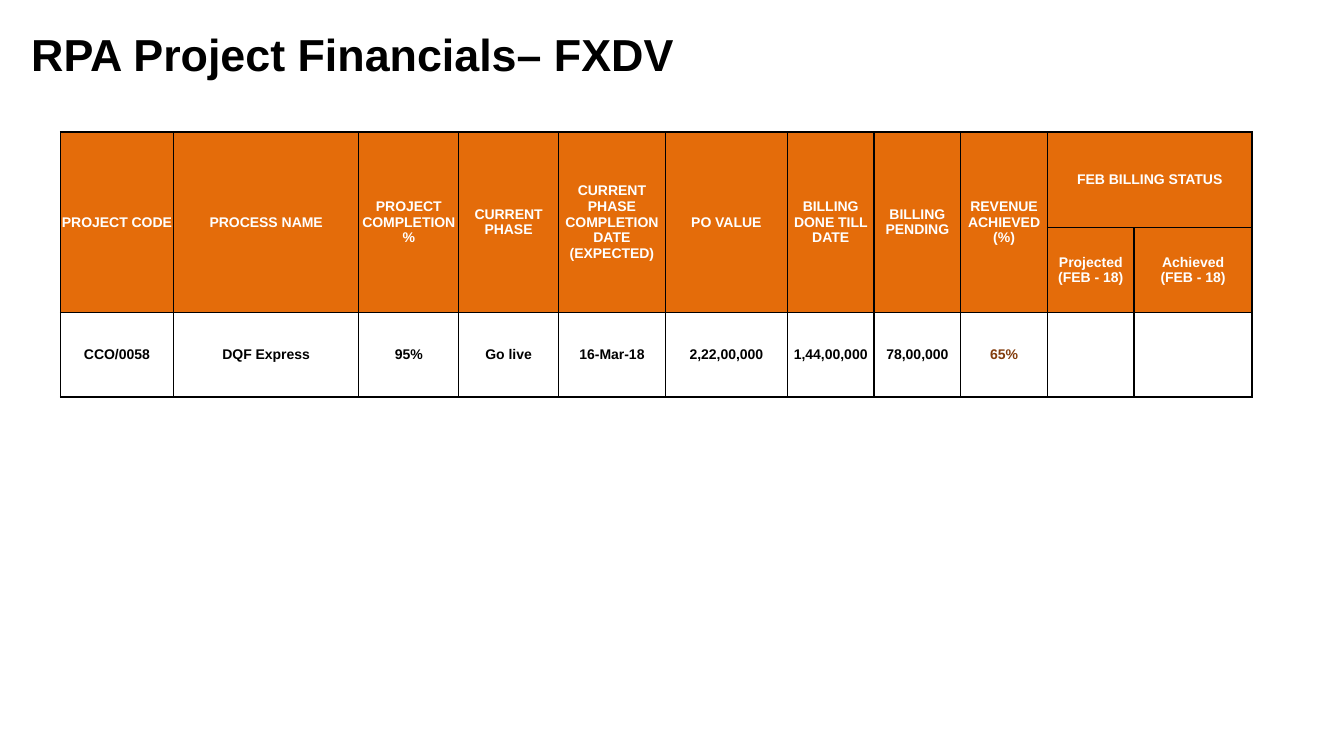
from lxml import etree
from pptx import Presentation
from pptx.dml.color import RGBColor
from pptx.enum.text import MSO_ANCHOR, PP_ALIGN
from pptx.oxml.ns import qn
from pptx.util import Inches, Pt

BLACK = RGBColor(0x00, 0x00, 0x00)
WHITE = RGBColor(0xFF, 0xFF, 0xFF)
ORANGE = RGBColor(0xE4, 0x6C, 0x0A)
BROWN = RGBColor(0x83, 0x3C, 0x0C)
LEFT, CENTER = PP_ALIGN.LEFT, PP_ALIGN.CENTER
MIDDLE = MSO_ANCHOR.MIDDLE

WIDTHS = [1.12, 1.84, 0.99, 0.99, 1.06, 1.21, 0.86, 0.86, 0.86, 0.86, 1.17]
HEIGHTS = [0.95, 0.84, 0.84]
HEADS = ["PROJECT CODE", "PROCESS NAME", "PROJECT COMPLETION %", "CURRENT PHASE",
         "CURRENT PHASE COMPLETION DATE (EXPECTED)", "PO VALUE",
         "BILLING DONE TILL DATE", "BILLING PENDING", "REVENUE ACHIEVED (%)"]
ROWS = [
    HEADS + ["FEB BILLING STATUS", ""],
    [""] * len(HEADS) + ["Projected\n(FEB - 18)", "Achieved\n(FEB - 18)"],
    ["CCO/0058", "DQF Express", "95%", "Go live", "16-Mar-18", "2,22,00,000",
     "1,44,00,000", "78,00,000", "65%", "", ""],
]


class Deck:
    def __init__(self, font="Arial"):
        self.font = font
        self.prs = Presentation()
        self.prs.slide_width = Inches(13.33)
        self.prs.slide_height = Inches(7.5)
        self.slide = self.prs.slides.add_slide(self.prs.slide_layouts[5])

    def style(self, frame, size, color, align):
        for para in frame.paragraphs:
            para.alignment = align
            font = para.font
            font.name, font.size, font.bold = self.font, Pt(size), True
            font.color.rgb = color

    def title(self, text, left, top, width, height):
        shape = self.slide.shapes.title
        shape.left, shape.top = Inches(left), Inches(top)
        shape.width, shape.height = Inches(width), Inches(height)
        frame = shape.text_frame
        frame.text = text
        frame.vertical_anchor = MIDDLE
        self.style(frame, 32, BLACK, LEFT)

    def edge(self, cell):
        """Draw a thin black line on all four sides of a cell."""
        props = cell._tc.get_or_add_tcPr()
        for side in ("a:lnL", "a:lnR", "a:lnT", "a:lnB"):
            line = etree.SubElement(props, qn(side), w=str(Pt(1)))
            fill = etree.SubElement(line, qn("a:solidFill"))
            etree.SubElement(fill, qn("a:srgbClr"), val=str(BLACK))

    def cell(self, cell, text, fill, color):
        self.edge(cell)
        cell.fill.solid()
        cell.fill.fore_color.rgb = fill
        cell.vertical_anchor = MIDDLE
        cell.margin_left = cell.margin_right = 0
        cell.margin_top = cell.margin_bottom = 0
        cell.text = text
        self.style(cell.text_frame, 10, color, CENTER)

    def table(self, rows, left, top, widths, heights):
        table = self.slide.shapes.add_table(
            len(rows), len(widths), Inches(left), Inches(top),
            Inches(sum(widths)), Inches(sum(heights))).table
        table.horz_banding = False
        for col, width in zip(table.columns, widths):
            col.width = Inches(width)
        for row, height in zip(table.rows, heights):
            row.height = Inches(height)
        for r, row in enumerate(rows):
            fill, color = (ORANGE, WHITE) if r < 2 else (WHITE, BLACK)
            for c, text in enumerate(row):
                self.cell(table.cell(r, c), text, fill, color)
        return table


def main():
    deck = Deck()
    deck.title("RPA Project Financials– FXDV", 0.21, 0.21, 11.5, 0.64)
    table = deck.table(ROWS, 0.6, 1.31, WIDTHS, HEIGHTS)
    count = len(HEADS)
    for c in range(count):
        table.cell(0, c).merge(table.cell(1, c))
    table.cell(0, count).merge(table.cell(0, count + 1))
    deck.style(table.cell(2, count - 1).text_frame, 10, BROWN, CENTER)
    deck.prs.save("out.pptx")


if __name__ == "__main__":
    main()
